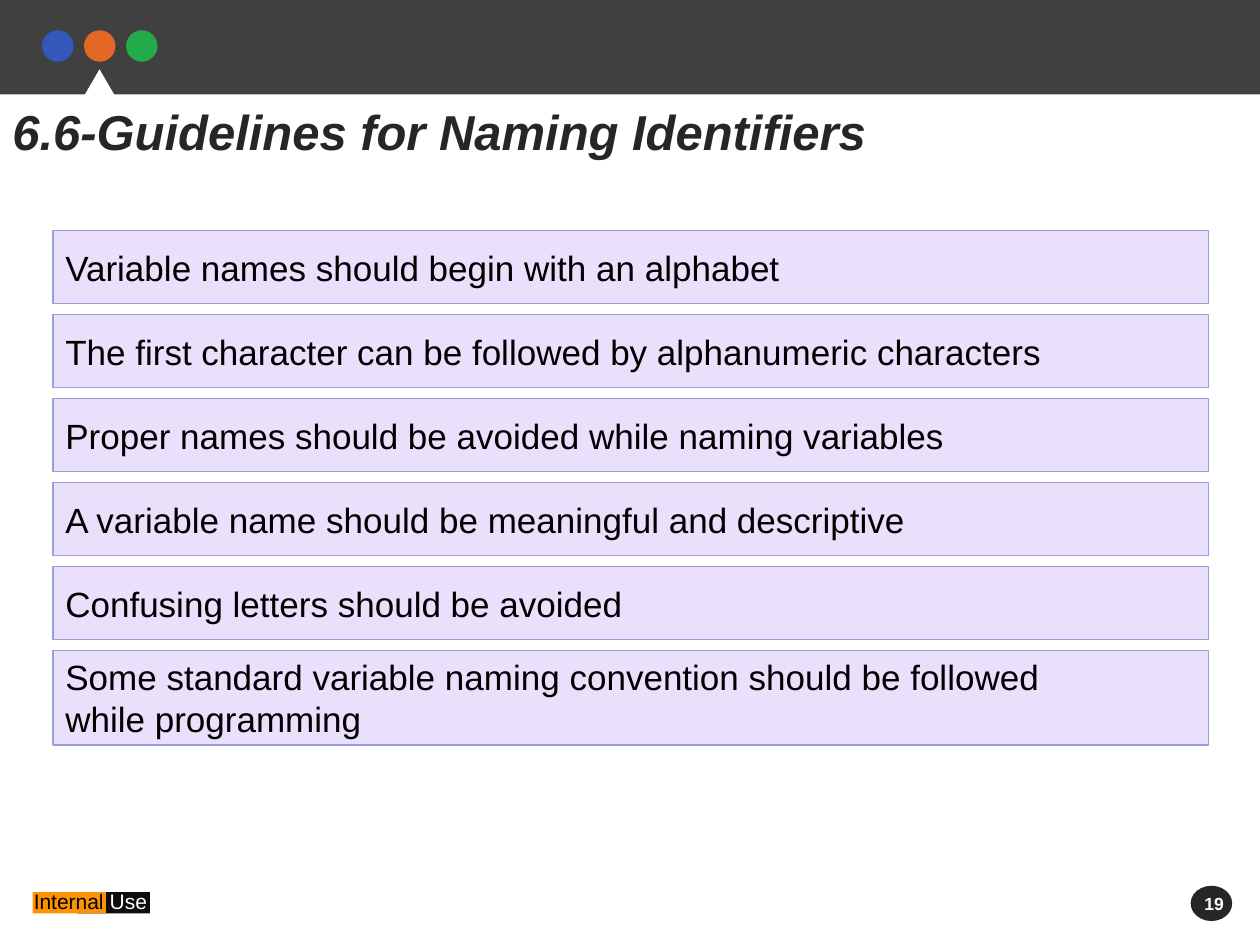
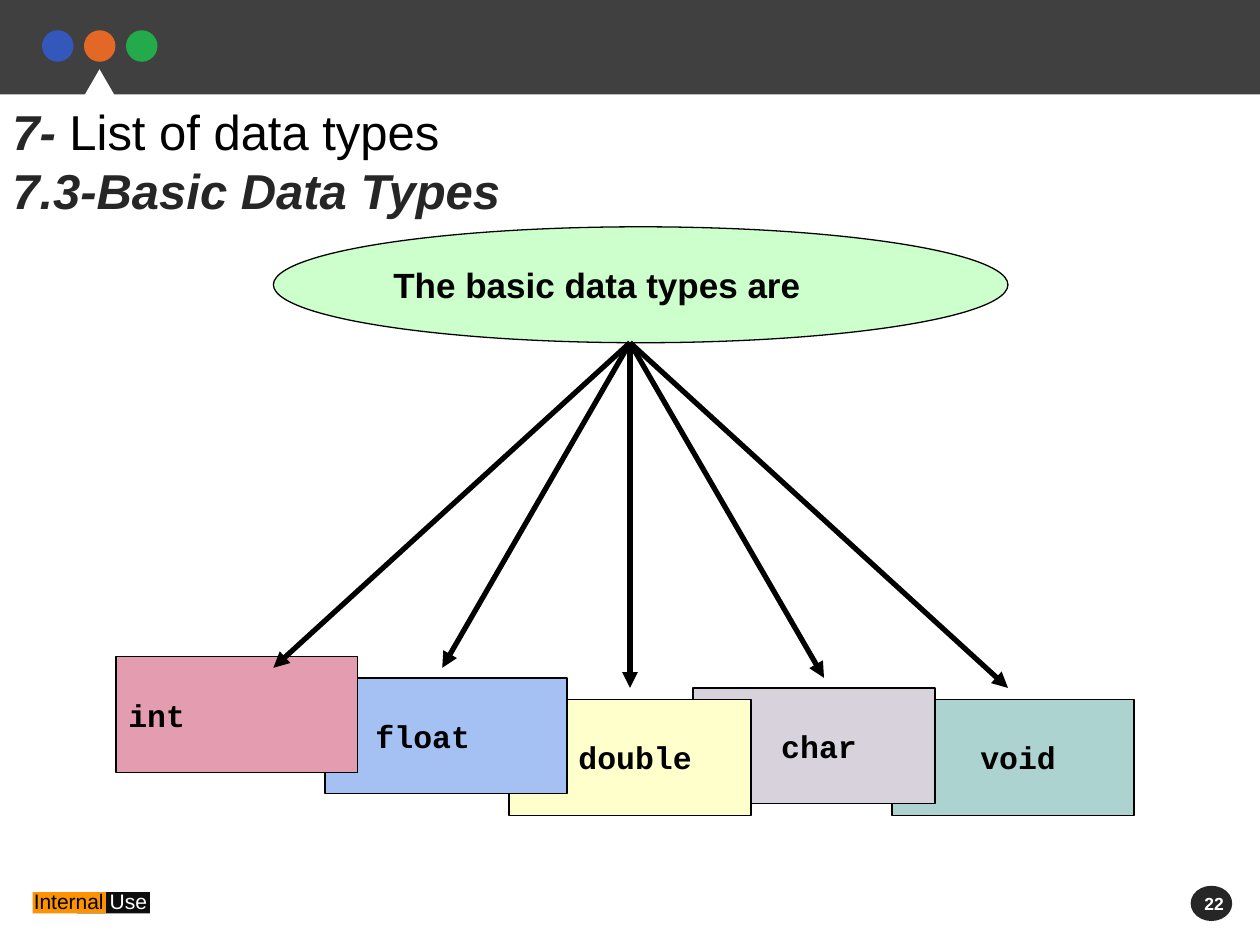
from pptx import Presentation
from pptx.dml.color import RGBColor
from pptx.enum.shapes import MSO_CONNECTOR, MSO_SHAPE
from pptx.enum.text import MSO_ANCHOR, PP_ALIGN
from pptx.oxml.ns import qn
from pptx.util import Inches, Pt
from lxml import etree

RECTANGLE = MSO_SHAPE.RECTANGLE
OVAL = MSO_SHAPE.OVAL
TRIANGLE = MSO_SHAPE.ISOSCELES_TRIANGLE
STRAIGHT = MSO_CONNECTOR.STRAIGHT
TOP, MIDDLE = MSO_ANCHOR.TOP, MSO_ANCHOR.MIDDLE
LEFT = PP_ALIGN.LEFT

BLACK, WHITE, INK, BAND = "000000", "FFFFFF", "262626", "404040"
DOTS = ("3357BB", "E46825", "23AA4A")
LABEL_ORANGE, LABEL_BLACK = "FD9203", "0D0D0D"
RULE_FILL, RULE_LINE = "EBE0FC", "9C9CDC"
TOPIC_FILL = "CCFFCC"
INSET = 0.1
MONO_CHAR = 0.15

GUIDELINES = (
    "Variable names should begin with an alphabet",
    "The first character can be followed by alphanumeric characters",
    "Proper names should be avoided while naming variables",
    "A variable name should be meaningful and descriptive",
    "Confusing letters should be avoided",
    "Some standard variable naming convention should be followed\nwhile programming",
)

# name, fill, left, top, indent in characters, arrow end
DATA_TYPES = (
    ("int", "E49CB1", 0.92, 5.21, 0, (2.17, 5.3)),
    ("float", "A5C1F3", 2.58, 5.38, 2, (3.51, 5.3)),
    ("double", "FFFFCC", 4.04, 5.55, 3, (5, 5.46)),
    ("char", "D7D2DC", 5.5, 5.46, 4, (6.54, 5.38)),
    ("void", "ADD3D1", 7.08, 5.55, 4, (8, 5.46)),
)


def color(value):
    """Turn a hex string into a colour."""
    return RGBColor.from_string(value)


def style(span, size, ink, bold=False, italic=False, face="Arial"):
    """Format one run."""
    font = span.font
    font.name, font.size = face, Pt(size)
    font.bold, font.italic = bold, italic
    font.color.rgb = color(ink)


def prepare(frame, anchor=TOP, indent=0):
    """Set wrapping, anchor and left inset of a text frame."""
    frame.word_wrap = True
    frame.vertical_anchor = anchor
    frame.margin_left = Inches(INSET + indent)


def add_block(page, kind, box, fill, line=None):
    """Add a flat preset shape at box (left, top, width, height)."""
    block = page.shapes.add_shape(kind, *map(Inches, box))
    block.shadow.inherit = False
    block.fill.solid()
    block.fill.fore_color.rgb = color(fill)
    if line:
        block.line.color.rgb = color(line)
        block.line.width = Pt(0.75)
    else:
        block.line.fill.background()
    return block


def label_block(block, text, size, indent=0, **look):
    """Write left-aligned black text in the middle of a shape."""
    frame = block.text_frame
    prepare(frame, MIDDLE, indent)
    frame.text = text
    for para in frame.paragraphs:
        para.alignment = LEFT
        style(para.runs[0], size, BLACK, **look)


def add_text(page, box, lines, indent=0):
    """Add a text box; each line is a list of (text, look) pairs."""
    frame = page.shapes.add_textbox(*map(Inches, box)).text_frame
    prepare(frame, indent=indent)
    for index, pieces in enumerate(lines):
        para = frame.add_paragraph() if index else frame.paragraphs[0]
        for text, look in pieces:
            span = para.add_run()
            span.text = text
            style(span, **look)


def add_arrow(page, start, end):
    """Draw a thick black arrow from start to end."""
    arrow = page.shapes.add_connector(STRAIGHT, *map(Inches, (*start, *end)))
    arrow.line.color.rgb = color(BLACK)
    arrow.line.width = Pt(3)
    etree.SubElement(arrow.line._get_or_add_ln(), qn("a:tailEnd"), type="triangle")
    etree.SubElement(arrow._element.spPr, qn("a:effectLst"))


def add_header(page, left, top, width, height):
    """Draw the dark band with three dots and a pointer."""
    add_block(page, RECTANGLE, (left, top, width, height), BAND)
    for index, fill in enumerate(DOTS):
        dot_left = left + (index + 1) / 3
        add_block(page, OVAL, (dot_left, top + 0.24, 0.25, 0.25), fill)
    add_block(page, TRIANGLE, (left + 0.5, top + 0.55, 0.58, 0.5), WHITE)


def add_usage_label(page, left, top):
    """Draw the two-colour usage label."""
    for offset, fill in ((0.44, LABEL_BLACK), (0.09, LABEL_ORANGE)):
        add_block(page, RECTANGLE, (left + offset, top + 0.08, 0.58, 0.17), fill)
    pieces = [("Internal ", dict(size=12, ink=BLACK)), ("Use", dict(size=12, ink=WHITE))]
    add_text(page, (left, top, 1.5, 0.3), [pieces])


def add_page_number(page, left, top, number):
    """Draw the page number on its dark oval."""
    add_block(page, OVAL, (left + 0.07, top, 0.33, 0.28), INK)
    look = dict(size=10, ink=WHITE, bold=True)
    add_text(page, (left, top + 0.01, 0.83, 0.27), [[(str(number), look)]], indent=0.08)


def add_page(deck, number, title, title_height):
    """Add a page with band, footer and title."""
    page = deck.slides.add_slide(deck.slide_layouts[6])
    add_header(page, 0, 0, 10, 0.75)
    add_usage_label(page, 0.17, 7)
    add_page_number(page, 9.38, 7.03, number)
    add_text(page, (0, 0.76, 9.53, title_height), title)
    return page


def add_guidelines(page, left, top, width):
    """Stack the guideline bars, the last one taller."""
    for index, text in enumerate(GUIDELINES):
        height = 0.75 if "\n" in text else 0.58
        box = (left, top + index * 2 / 3, width, height)
        label_block(add_block(page, RECTANGLE, box, RULE_FILL, RULE_LINE), text, 20)


def add_type_tree(page, left, top, width, height):
    """Draw the topic oval and an arrow to each overlapping type box."""
    topic = add_block(page, OVAL, (left, top, width, height), TOPIC_FILL, BLACK)
    label_block(topic, "The basic data types are", 20, bold=True)
    for name, fill, x, y, indent, _ in reversed(DATA_TYPES):
        box = add_block(page, RECTANGLE, (x, y, 1.92, height), fill, BLACK)
        label_block(box, name, 18, indent * MONO_CHAR, bold=True, face="Courier New")
    for *_, end in DATA_TYPES:
        add_arrow(page, (5, top + height), end)


def main():
    """Build and save the deck."""
    deck = Presentation()
    deck.slide_width, deck.slide_height = Inches(10), Inches(7.5)
    strong = dict(size=28, ink=INK, bold=True, italic=True)
    plain = dict(size=28, ink=BLACK)

    title = [[("6.6-Guidelines for Naming Identifiers", strong)]]
    add_guidelines(add_page(deck, 19, title, 0.57), 0.42, 1.83, 9.17)

    title = [
        [("7- ", strong), ("List of data types", plain)],
        [("7.3-Basic Data Types", strong)],
    ]
    add_type_tree(add_page(deck, 22, title, 1.04), 2.17, 1.8, 5.83, 0.92)
    deck.save("out.pptx")


if __name__ == "__main__":
    main()
